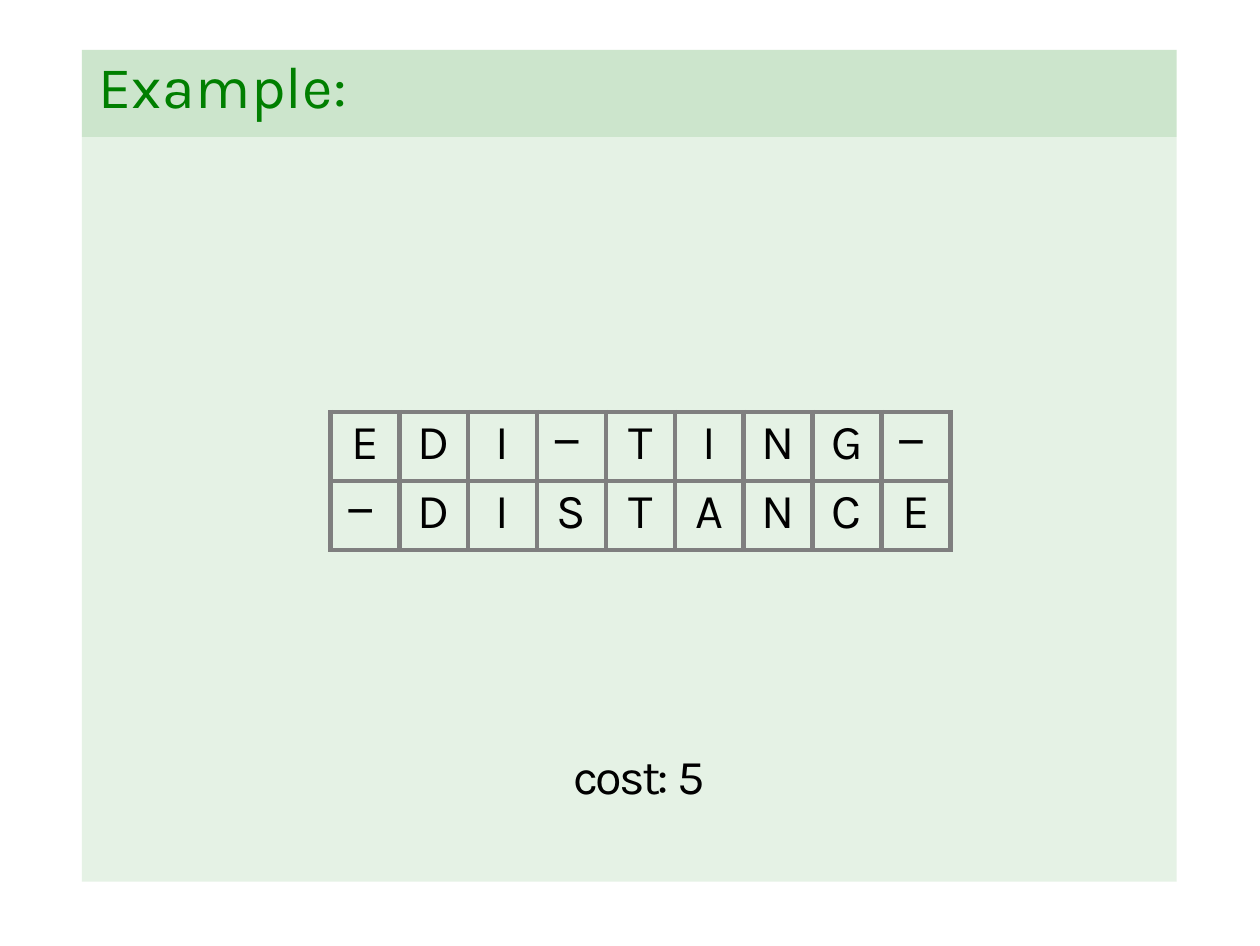
"""Build a slide showing an edit distance alignment of two words and its cost."""
from lxml.etree import SubElement
from pptx import Presentation
from pptx.dml.color import RGBColor
from pptx.enum.shapes import MSO_SHAPE
from pptx.enum.text import PP_ALIGN
from pptx.oxml.ns import qn
from pptx.util import Pt

BAND_GREEN = RGBColor(0xCC, 0xE5, 0xCC)
PANEL_GREEN = RGBColor(0xE5, 0xF2, 0xE5)
TITLE_GREEN = RGBColor(0x00, 0x7F, 0x00)
BLACK = RGBColor(0, 0, 0)
GRID_GREY = RGBColor(0x7F, 0x7F, 0x7F)

ALIGNMENT = ["EDI−TING−", "−DISTANCE"]
CELL_SIZE = 19.85


def set_font(paragraph, name, size, color):
    paragraph.font.name = name
    paragraph.font.size = Pt(size)
    paragraph.font.color.rgb = color


presentation = Presentation()
presentation.slide_width = Pt(363)
presentation.slide_height = Pt(272.5)
slide = presentation.slides.add_slide(presentation.slide_layouts[6])

for top, height, color in [(14.4, 25.1, BAND_GREEN), (39.5, 214.5, PANEL_GREEN)]:
    panel = slide.shapes.add_shape(
        MSO_SHAPE.RECTANGLE, Pt(23.6), Pt(top), Pt(315.4), Pt(height))
    panel.shadow.inherit = False
    panel.fill.solid()
    panel.fill.fore_color.rgb = color
    panel.line.fill.background()

columns = len(ALIGNMENT[0])
rows = len(ALIGNMENT)
alignment = slide.shapes.add_table(
    rows, columns, Pt(95.2), Pt(118.7),
    Pt(CELL_SIZE * columns), Pt(CELL_SIZE * rows)).table
alignment.first_row = False
alignment.horz_banding = False
for track in alignment.columns:
    track.width = Pt(CELL_SIZE)
for track in alignment.rows:
    track.height = Pt(CELL_SIZE)

for row, word in enumerate(ALIGNMENT):
    for column, letter in enumerate(word):
        cell = alignment.cell(row, column)
        cell.margin_left = cell.margin_right = cell.margin_bottom = 0
        paragraph = cell.text_frame.paragraphs[0]
        paragraph.text = letter
        if letter == "−":
            cell.margin_left = Pt(4.3)
            cell.margin_top = 0
            paragraph.line_spacing = Pt(16.3)
            set_font(paragraph, "Arial", 14, BLACK)
            paragraph.font.italic = True
        else:
            cell.margin_top = Pt(0.9)
            paragraph.alignment = PP_ALIGN.CENTER
            set_font(paragraph, "Karla", 14, BLACK)
        properties = cell._tc.get_or_add_tcPr()
        for side in ("a:lnL", "a:lnR", "a:lnT", "a:lnB"):
            border = SubElement(properties, qn(side), w=str(Pt(1.5)))
            border_fill = SubElement(border, qn("a:solidFill"))
            SubElement(border_fill, qn("a:srgbClr"), val=str(GRID_GREY))
        cell.fill.solid()
        cell.fill.fore_color.rgb = PANEL_GREEN

for pieces, left, top, width, height, size, color in [
    ([("Example:", 10)], 27.6, 13, 137, 23, 17, TITLE_GREEN),
    ([("cost: ", -80), ("5", -60)], 164.4, 213.9, 42, 19.4, 14, BLACK),
]:
    label = slide.shapes.add_textbox(Pt(left), Pt(top), Pt(width), Pt(height))
    frame = label.text_frame
    frame.word_wrap = True
    frame.margin_left = Pt(0.7)
    frame.margin_right = frame.margin_bottom = 0
    frame.margin_top = Pt(1.1)
    paragraph = frame.paragraphs[0]
    set_font(paragraph, "Karla", size, color)
    for text, tracking in pieces:
        run = paragraph.add_run()
        run.text = text
        run._r.get_or_add_rPr().set("spc", str(tracking))

presentation.save("out.pptx")
